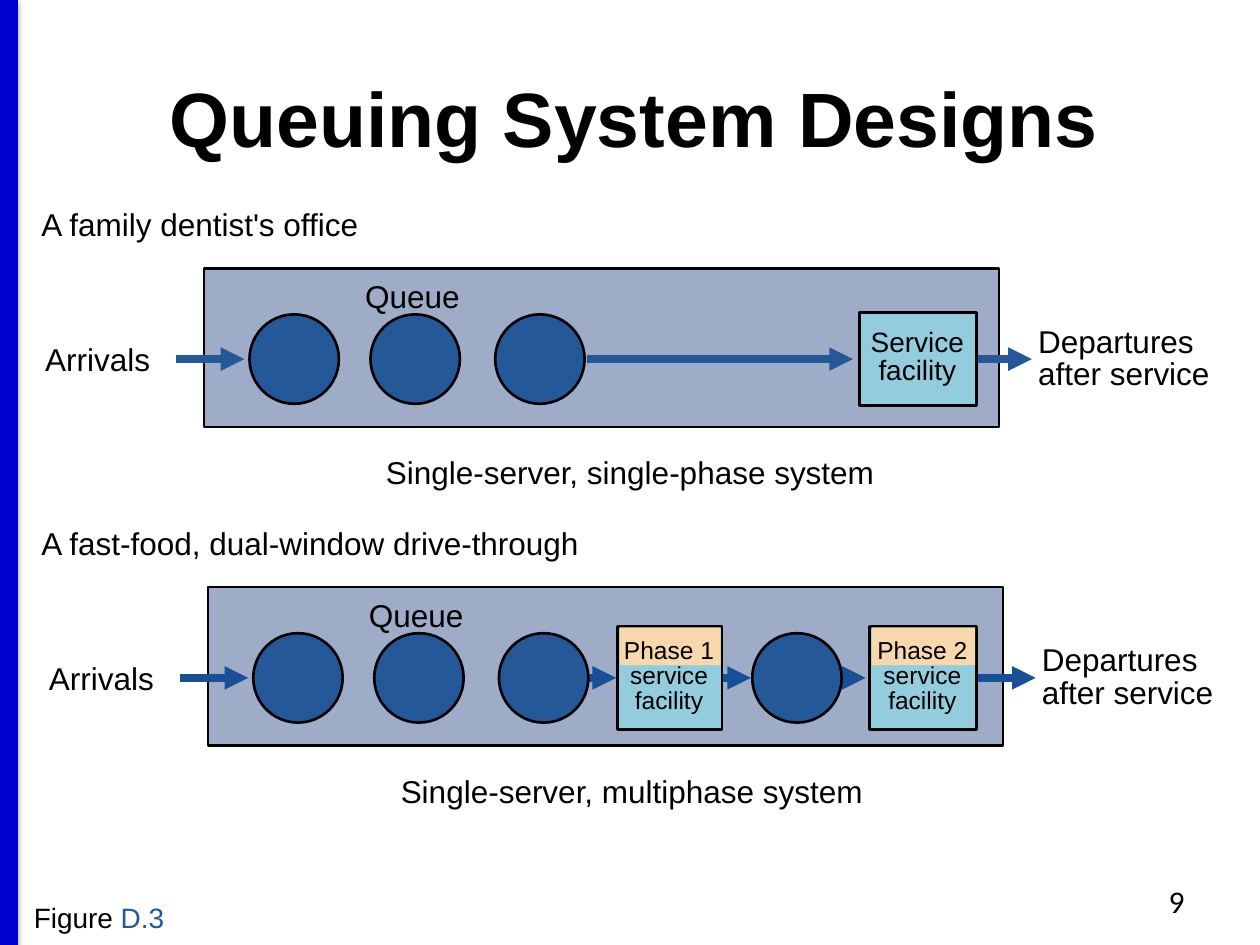
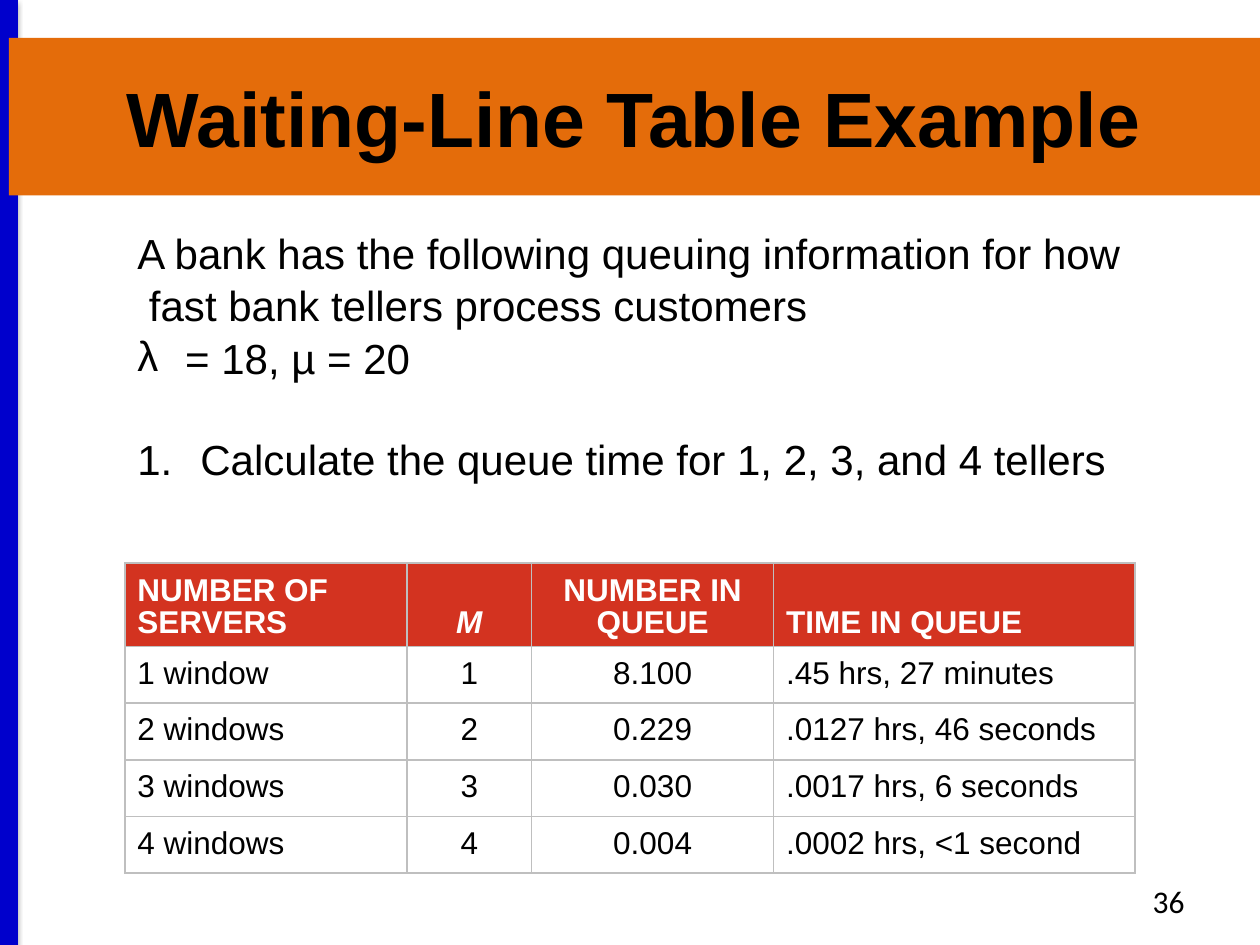
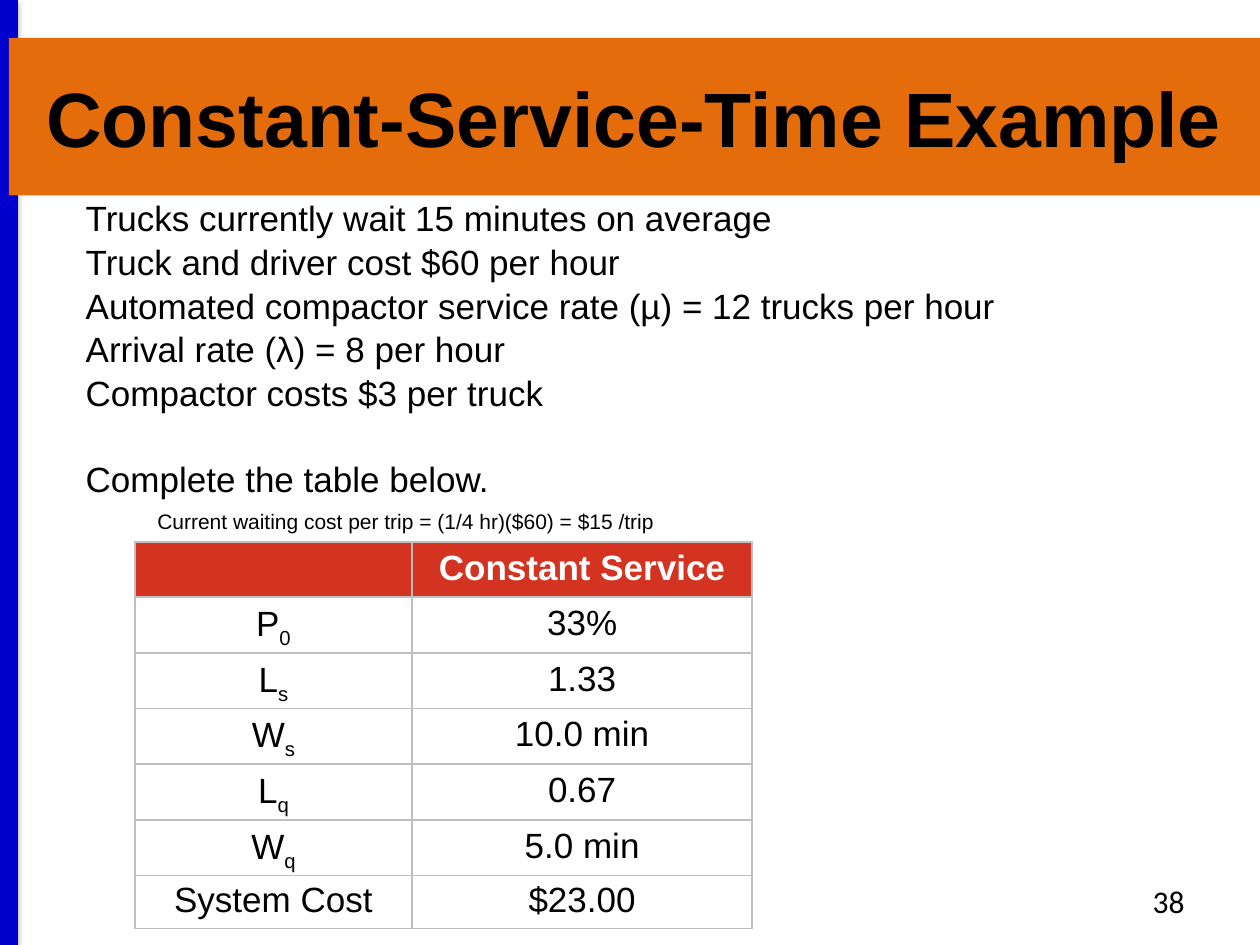
from lxml import etree
from pptx import Presentation, util as u
from pptx.dml.color import RGBColor
from pptx.enum import shapes as sh, text as tx
from pptx.oxml.ns import qn

# Theme
THEME = dict(
    font="Arial", num_font="Calibri", ink="000000", white="FFFFFF",
    stripe="0000CC", band="E46C0A", head="D33320", rule="BFBFBF",
    room="9FACC7", blue="255898", deep="175097", box="93CDDD", strip="F7D7AC",
    title=44, label=18, small=16, phase=14, note=12,
    tight=0.85, cell=0.9, body=1.04,
)
T = THEME
W, H = 10, 7.5
ALIGN = {"l": tx.PP_ALIGN.LEFT, "c": tx.PP_ALIGN.CENTER, "r": tx.PP_ALIGN.RIGHT}

# Content: queue systems; x positions are relative to each system's left shift
SYSTEMS = [
    dict(name="A family dentist's office", name_w=2.76,
         caption="Single-server, single-phase system", cap_w=4.12,
         color=T["blue"], circles=[1.98, 2.94, 3.93],
         arrows=[(1.4, 0.54), (4.66, 2.11), (7.65, 0.54)],
         boxes=[("Service facility", 6.82, 0.93, 0.74, T["small"], False)]),
    dict(name="A fast-food, dual-window drive-through", name_w=4.49,
         caption="Single-server, multiphase system", cap_w=3.9,
         color=T["deep"], circles=[1.98, 2.94, 3.93, 5.94],
         arrows=[(x, 0.54) for x in (1.4, 4.32, 5.39, 6.3, 7.65)],
         boxes=[("Phase 1 service facility", 4.87, 0.83, 0.82, T["phase"], True),
                ("Phase 2 service facility", 6.87, 0.85, 0.82, T["phase"], True)]),
]
AXIS, PITCH, SHIFT, DISK = 2.85, 2.53, 0.03, 0.71

# Content: text and tables; a body line is (text, bullet, indent, space before)
BANK = dict(
    title="Waiting-Line Table Example", number="36",
    at=(0.99, 1.74, 8.02, 2.12), size=24,
    lines=[("A bank has the following queuing information for how  fast bank tellers "
            "process customers", None, 0, 0),
           ("= 18, µ = 20", "λ", 0.38, 0),
           ("Calculate the queue time for 1, 2, 3, and 4 tellers", "1.", 0.5, 28)],
    table=dict(at=(0.99, 4.47), cols=[2.24, 0.99, 1.92, 2.87],
               rows=[0.66] + [0.45] * 4, align="lccl", size=18, low=True,
               cells=[["NUMBER OF SERVERS", [("M", {"italic": True})],
                       "NUMBER IN QUEUE", "TIME IN QUEUE"],
                      ["1 window", "1", "8.100", ".45 hrs, 27 minutes"],
                      ["2 windows", "2", "0.229", ".0127 hrs, 46 seconds"],
                      ["3 windows", "3", "0.030", ".0017 hrs, 6 seconds"],
                      ["4 windows", "4", "0.004", ".0002 hrs, <1 second"]]),
)


def sub(main, low):
    return [(main, {}), (low, {"base": -25})]


TRUCKS = dict(
    title="Constant-Service-Time Example", number="38",
    at=(0.58, 1.5, 8.85, 2.46), size=20,
    lines=[(line, None, 0, 0) for line in (
        "Trucks currently wait 15 minutes on average",
        "Truck and driver cost $60 per hour",
        "Automated compactor service rate (µ) = 12 trucks per hour",
        "Arrival rate (λ) = 8 per hour",
        "Compactor costs $3 per truck")]
    + [("Complete the table below.", None, 0, 24)],
    note="Current waiting cost per trip = (1/4 hr)($60) = $15 /trip",
    table=dict(at=(1.07, 4.3), cols=[2.2, 2.7], rows=[0.44] * 6 + [0.42],
               align="cc", size=20, low=False,
               cells=[["", "Constant Service"],
                      [sub("P", "0"), "33%"],
                      [sub("L", "s"), "1.33"],
                      [sub("W", "s"), "10.0 min"],
                      [sub("L", "q"), "0.67"],
                      [sub("W", "q"), "5.0 min"],
                      ["System Cost", "$23.00"]]),
)


# Helpers
def rgb(code):
    return RGBColor.from_string(code)


def put(obj, **vals):
    for key, val in vals.items():
        setattr(obj, key, val)


def place(shape, at):
    put(shape, **dict(zip(("left", "top", "width", "height"), map(u.Inches, at))))


def node(parent, tag, **vals):
    return etree.SubElement(parent, qn(tag), {k: str(v) for k, v in vals.items()})


def write(frame, paras, size, align="l", space=None, color=T["ink"], name=T["font"], **fmt):
    """Each paragraph is a string or a list of (text, format) runs."""
    for i, runs in enumerate(paras):
        para = frame.paragraphs[0] if i == 0 else frame.add_paragraph()
        put(para, alignment=ALIGN[align], line_spacing=space)
        for words, own in [(runs, {})] if isinstance(runs, str) else runs:
            own = {"color": color, "base": 0, **fmt, **own}
            run = para.add_run()
            run.text = words
            run.font.color.rgb = rgb(own.pop("color"))
            base = own.pop("base")
            put(run.font, size=u.Pt(size), name=name, **own)
            if base:
                run._r.get_or_add_rPr().set("baseline", str(base * 1000))


def label(slide, at, paras, size=T["label"], wrap=False, **fmt):
    box = slide.shapes.add_textbox(*map(u.Inches, at))
    box.text_frame.word_wrap = wrap
    write(box.text_frame, paras, size, **fmt)


def shape(slide, kind, at, fill, edge=True):
    item = slide.shapes.add_shape(kind, *map(u.Inches, at))
    item.shadow.inherit = False
    item.fill.solid()
    item.fill.fore_color.rgb = rgb(fill)
    if edge:
        item.line.color.rgb = rgb(T["ink"])
        item.line.width = u.Pt(1.5)
    else:
        item.line.fill.background()


def line(slide, ends, color, width):
    item = slide.shapes.add_connector(sh.MSO_CONNECTOR.STRAIGHT, *map(u.Inches, ends))
    item.line.color.rgb = rgb(color)
    item.line.width = u.Pt(width)
    return item, node(item._element.spPr, "a:effectLst")


def arrow(slide, x, y, length, color):
    item, _ = line(slide, (x, y, x + length, y), color, 4.5)
    node(item.line._get_or_add_ln(), "a:tailEnd", type="triangle")


# Shared parts
def stripe(deck, slide):
    """Draw the left stripe, then move it to the master so every slide has it."""
    bar, glow = line(slide, (0.07, 0, 0.07, H), T["stripe"], 10)
    cast = node(glow, "a:outerShdw", blurRad=u.Pt(3.1), dist=u.Pt(1.6), dir=90 * 60000)
    node(node(cast, "a:srgbClr", val=T["ink"]), "a:alpha", val=38000)
    bar._element.nvCxnSpPr.cNvPr.set("id", "99")
    deck.slide_master.shapes.element.append(bar._element)


def start(deck, layout, title, number, band=True):
    slide = deck.slides.add_slide(deck.slide_layouts[layout])
    head = slide.shapes.title
    place(head, (0.07, 0.3, W - 0.07, 1.25))
    if band:
        head.fill.solid()
        head.fill.fore_color.rgb = rgb(T["band"])
    put(head.text_frame, auto_size=tx.MSO_AUTO_SIZE.NONE, vertical_anchor=tx.MSO_ANCHOR.MIDDLE)
    write(head.text_frame, [title], T["title"], "c", bold=True)
    label(slide, (7.17, 6.95, 2.33, 0.4), [number], wrap=True, align="r", name=T["num_font"])
    return slide


def body(slide, at, size, lines):
    item = slide.placeholders[1]
    place(item, at)
    item.text_frame.auto_size = tx.MSO_AUTO_SIZE.NONE
    write(item.text_frame, [row[0] for row in lines], size, space=T["body"])
    for para, (_, mark, indent, gap) in zip(item.text_frame.paragraphs, lines):
        put(para, space_before=u.Pt(gap), space_after=u.Pt(0))
        props = para._p.get_or_add_pPr()
        props.set("marL", str(u.Inches(indent)))
        props.set("indent", str(-u.Inches(indent)))
        if mark is None:
            node(props, "a:buNone")
            continue
        node(props, "a:buFont", typeface=T["font"])
        if mark == "1.":
            node(props, "a:buAutoNum", type="arabicPeriod")
        else:
            node(props, "a:buChar", char=mark)


def border(cell):
    props = cell._tc.get_or_add_tcPr()
    for i, side in enumerate(("a:lnL", "a:lnR", "a:lnT", "a:lnB")):
        edge = node(props, side, w=u.Pt(1))
        node(node(edge, "a:solidFill"), "a:srgbClr", val=T["rule"])
        props.insert(i, edge)


def grid(slide, at, cols, rows, align, size, low, cells):
    area = map(u.Inches, (*at, sum(cols), sum(rows)))
    table = slide.shapes.add_table(len(rows), len(cols), *area).table
    put(table, first_row=False, horz_banding=False)
    for col, wide in zip(table.columns, cols):
        col.width = u.Inches(wide)
    for r, (row, tall) in enumerate(zip(table.rows, rows)):
        row.height = u.Inches(tall)
        for cell, side, words in zip(row.cells, align, cells[r]):
            top = r == 0
            if top:
                cell.fill.solid()
                cell.fill.fore_color.rgb = rgb(T["head"])
            else:
                cell.fill.background()
            border(cell)
            cell.vertical_anchor = tx.MSO_ANCHOR.BOTTOM if top and low else tx.MSO_ANCHOR.MIDDLE
            if words:
                write(cell.text_frame, [words], size, side, T["cell"],
                      T["white"] if top else T["ink"], bold=top)


# Slides
def system(slide, n, name, name_w, caption, cap_w, color, circles, arrows, boxes):
    y, dx = AXIS + n * PITCH, n * SHIFT
    rect, oval = sh.MSO_SHAPE.RECTANGLE, sh.MSO_SHAPE.OVAL
    label(slide, (0.23, y - 1.27, name_w, 0.4), [name])
    shape(slide, rect, (1.62 + dx, y - 0.72, 6.31, 1.26), T["room"])
    for x, length in arrows:
        arrow(slide, x + dx, y, length, color)
    for x in circles:
        shape(slide, oval, (x + dx, y - DISK / 2, DISK, DISK), T["blue"])
    for words, x, wide, tall, size, phased in boxes:
        x, top = x + dx, y - tall / 2
        shape(slide, rect, (x, top, wide, tall), T["box"])
        if phased:
            shape(slide, rect, (x + 0.02, top + 0.01, wide - 0.03, 0.3), T["strip"], False)
        high = 0.71 if phased else 0.57
        label(slide, (x + wide / 2 - 0.55, y - high / 2, 1.09, high), [words], size,
              True, align="c", space=T["tight"])
    label(slide, (2.8 + dx, y - 0.7, 0.98, 0.4), ["Queue"])
    label(slide, (0.26 + dx, y - 0.2, 1.06, 0.4), ["Arrivals"])
    label(slide, (8.14 + dx, y - 0.3, 1.58, 0.62), ["Departures", "after service"],
          space=T["tight"])
    label(slide, (W / 2 + dx / 2 - cap_w / 2, y + 0.7, cap_w, 0.4), [caption], align="c")


def main():
    deck = Presentation()
    put(deck, slide_width=u.Inches(W), slide_height=u.Inches(H))

    # Queue designs
    slide = start(deck, 5, "Queuing System Designs", "9", band=False)
    stripe(deck, slide)
    for n, parts in enumerate(SYSTEMS):
        system(slide, n, **parts)
    label(slide, (0.17, 7.1, 1.29, 0.37),
          [[("Figure ", {}), ("D.3", {"color": T["blue"]})]], T["small"])

    # Worked examples
    for page in (BANK, TRUCKS):
        slide = start(deck, 1, page["title"], page["number"])
        body(slide, page["at"], page["size"], page["lines"])
        if "note" in page:
            label(slide, (1.15, 3.99, 4.18, 0.5), [page["note"]], T["note"])
        grid(slide, **page["table"])

    deck.save("out.pptx")


if __name__ == "__main__":
    main()
